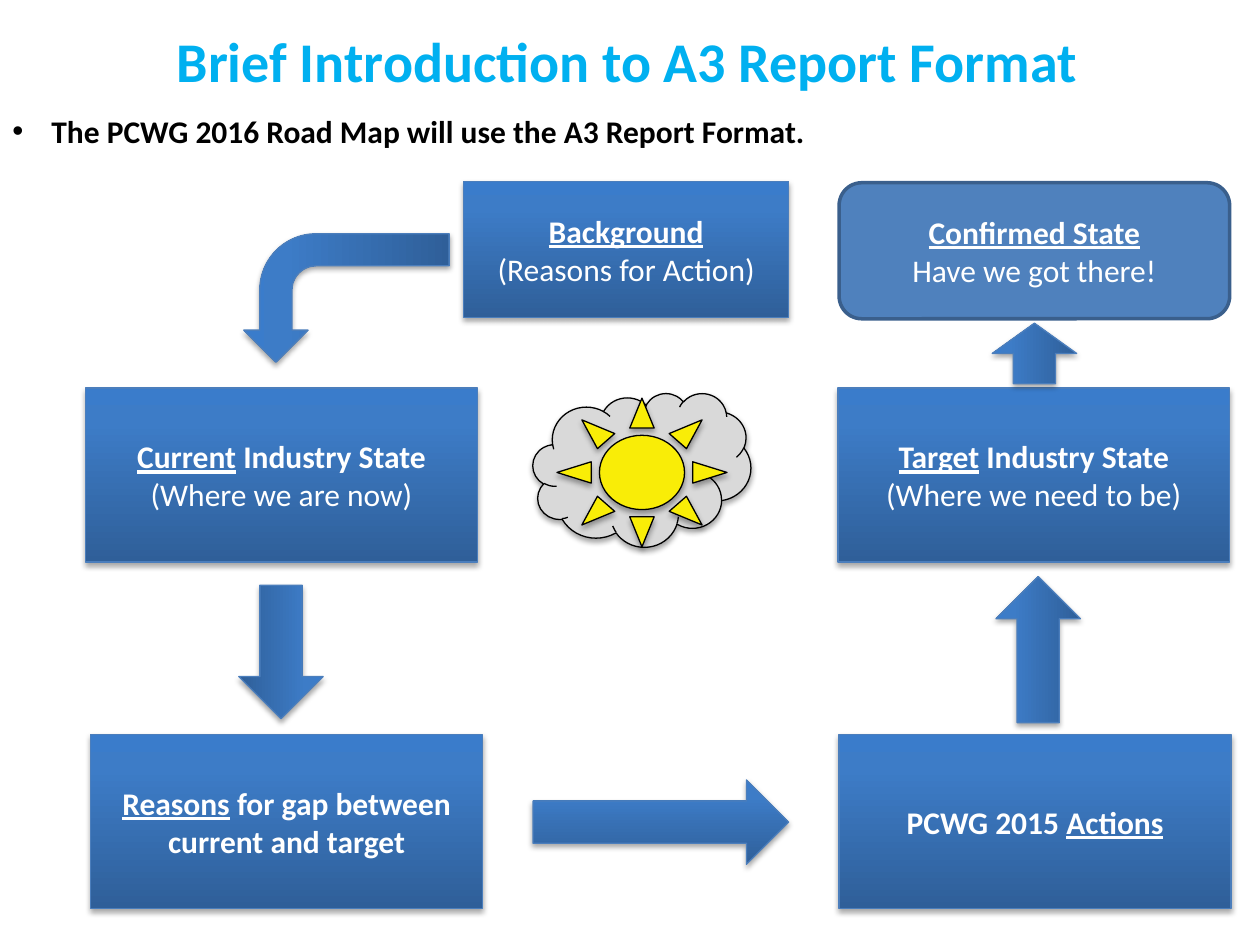
from copy import deepcopy
from lxml.etree import SubElement
from pptx import Presentation
from pptx.dml.color import RGBColor
from pptx.enum.shapes import MSO_SHAPE
from pptx.enum.text import MSO_ANCHOR, PP_ALIGN
from pptx.oxml.ns import qn
from pptx.util import Inches, Pt

WHITE = RGBColor(0xFF, 0xFF, 0xFF)
BLACK = RGBColor(0, 0, 0)
SKY = RGBColor(0x00, 0xB0, 0xF0)
EDGE = RGBColor(0x4B, 0x7E, 0xBC)
GREY = RGBColor(0xD9, 0xD9, 0xD9)
YELLOW = RGBColor(0xF9, 0xED, 0x07)
BLUE = RGBColor(0x4F, 0x81, 0xBD)
NAVY = RGBColor(0x3A, 0x5F, 0x8C)
STOPS = [
    (0, RGBColor(0x2F, 0x5F, 0x99)),
    (0.8, RGBColor(0x3D, 0x7C, 0xC7)),
    (1, RGBColor(0x3A, 0x7C, 0xCB)),
]


def add_shade(shape):
    effects = shape._element.spPr.find(qn("a:effectLst"))
    shadow = SubElement(effects, qn("a:outerShdw"), blurRad="40000",
                        dist="23000", dir="5400000", rotWithShape="0")
    color = SubElement(shadow, qn("a:srgbClr"), val="000000")
    SubElement(color, qn("a:alpha"), val="35000")


def add_blend(shape):
    shape.fill.gradient()
    shape.fill.gradient_angle = 90
    stops = shape._element.spPr.find(".//" + qn("a:gsLst"))
    stops.append(deepcopy(stops[0]))
    for stop, (place, color) in zip(shape.fill.gradient_stops, STOPS):
        stop.position = place
        stop.color.rgb = color


def add_form(slide, kind, box, fill=None, line=EDGE, width=0.75, shade=True):
    shape = slide.shapes.add_shape(kind, *map(Inches, box))
    shape.shadow.inherit = False
    if fill is None:
        add_blend(shape)
    else:
        shape.fill.solid()
        shape.fill.fore_color.rgb = fill
    shape.line.color.rgb = line
    shape.line.width = Pt(width)
    if shade:
        add_shade(shape)
    return shape


def add_text(shape, lines, size=18, color=WHITE, align=PP_ALIGN.CENTER):
    frame = shape.text_frame
    frame.word_wrap = True
    frame.vertical_anchor = MSO_ANCHOR.MIDDLE
    for index, runs in enumerate(lines):
        para = frame.add_paragraph() if index else frame.paragraphs[0]
        para.alignment = align
        for text, style in runs:
            run = para.add_run()
            run.text = text
            font = run.font
            font.name = "Calibri"
            font.size = Pt(size)
            font.color.rgb = color
            font.bold = "b" in style
            font.underline = "u" in style


def add_step(slide, box, lines):
    add_text(add_form(slide, MSO_SHAPE.RECTANGLE, box), lines)


def add_arrow(slide, box, turn=0):
    add_form(slide, MSO_SHAPE.RIGHT_ARROW, box).rotation = turn


def add_bend(slide, box):
    arrow = add_form(slide, MSO_SHAPE.BENT_ARROW, box)
    arrow.rotation = 270
    arrow._element.spPr.xfrm.set("flipH", "1")


def add_title(slide, text):
    box = slide.shapes.add_textbox(Inches(0.16), Inches(0.11), Inches(9.64), Inches(0.73))
    frame = box.text_frame
    frame.margin_left = frame.margin_right = Inches(0.14)
    frame.margin_top = frame.margin_bottom = Inches(0.07)
    add_text(box, [[(text, "b")]], 32, SKY)


def add_bullet(slide, text):
    box = slide.shapes.add_textbox(0, Inches(0.84), Inches(9.8), Inches(0.4))
    props = box.text_frame.paragraphs[0]._p.get_or_add_pPr()
    props.set("marL", str(Inches(0.31)))
    props.set("indent", str(-Inches(0.31)))
    SubElement(props, qn("a:buFont"), typeface="Arial")
    SubElement(props, qn("a:buChar"), char="•")
    add_text(box, [[(text, "b")]], color=BLACK, align=PP_ALIGN.LEFT)


def main():
    deck = Presentation()
    deck.slide_width, deck.slide_height = Inches(10), Inches(7.5)
    slide = deck.slides.add_slide(deck.slide_layouts[6])

    add_step(slide, (0.68, 3.08, 3.11, 1.38),
             [[("Current", "bu"), (" Industry State", "b")], [("(Where we are now)", "")]])
    add_step(slide, (6.65, 3.08, 3.11, 1.38),
             [[("Target", "bu"), (" Industry State", "b")], [("(Where we need to be)", "")]])
    add_step(slide, (0.72, 5.83, 3.11, 1.38),
             [[("Reasons", "bu"), (" for gap between current and target", "b")]])
    add_step(slide, (6.66, 5.83, 3.11, 1.38),
             [[("PCWG 2015 ", "b"), ("Actions", "bu")]])
    add_step(slide, (3.68, 1.44, 2.58, 1.08),
             [[("Background", "bu")], [("(Reasons for Action)", "")]])

    add_arrow(slide, (1.7, 4.84, 1.06, 0.67), 90)
    add_arrow(slide, (4.23, 6.19, 2.03, 0.67))
    add_arrow(slide, (7.66, 4.82, 1.16, 0.67), 270)
    add_bend(slide, (2.24, 1.55, 1.02, 1.63))

    add_form(slide, MSO_SHAPE.CLOUD, (4.23, 3.12, 1.73, 1.22), GREY, BLACK)
    add_form(slide, MSO_SHAPE.SUN, (4.42, 3.16, 1.35, 1.18), YELLOW, BLACK)

    goal = add_form(slide, MSO_SHAPE.ROUNDED_RECTANGLE, (6.66, 1.45, 3.1, 1.08),
                    BLUE, NAVY, 2, False)
    add_text(goal, [[("Confirmed State", "bu")], [("Have we got there!", "")]])
    add_arrow(slide, (7.97, 2.47, 0.48, 0.67), 270)

    add_title(slide, "Brief Introduction to A3 Report Format")
    add_bullet(slide, "The PCWG 2016 Road Map will use the A3 Report Format.")
    deck.save("out.pptx")


if __name__ == "__main__":
    main()
